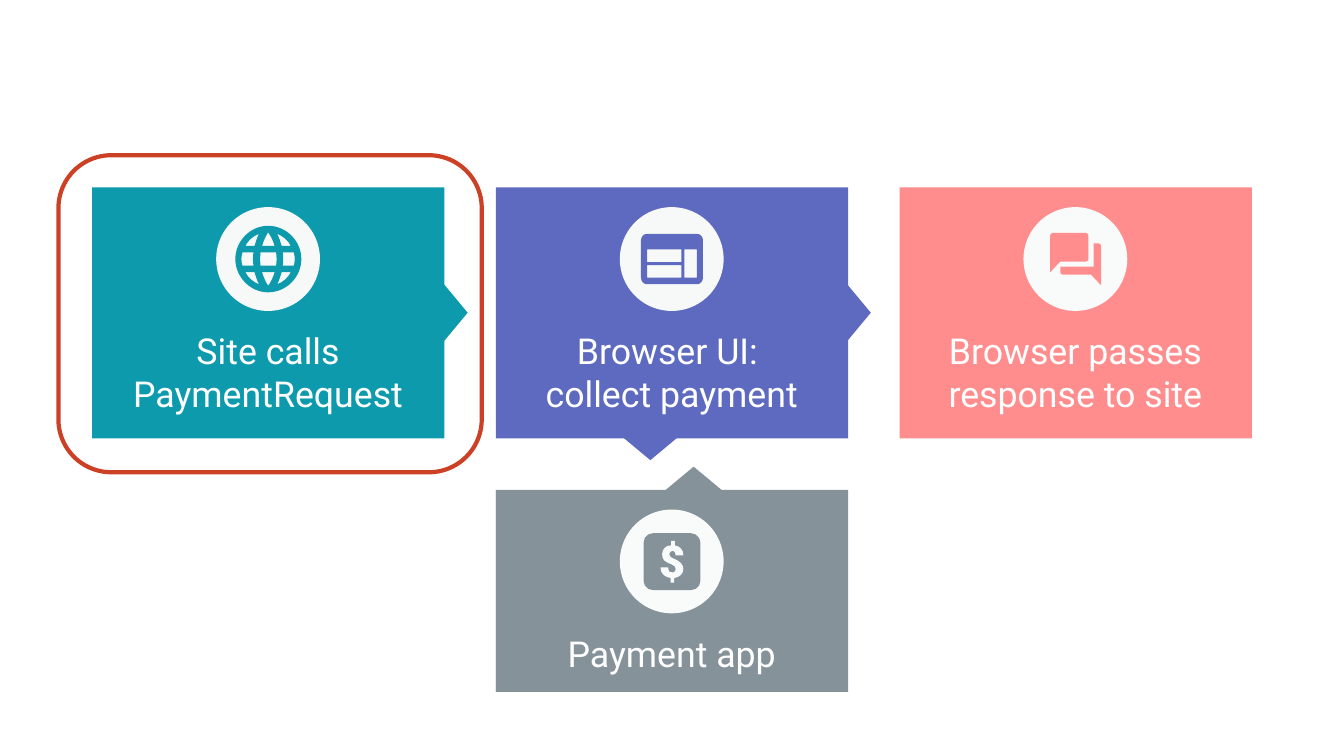
"""Build the payment request flow slide."""
from dataclasses import dataclass
from typing import Any, NamedTuple

from lxml import etree
from pptx import Presentation
from pptx.dml.color import RGBColor
from pptx.enum.shapes import MSO_SHAPE
from pptx.enum.text import MSO_ANCHOR, PP_ALIGN
from pptx.oxml.ns import qn
from pptx.util import Pt

PX = 9144
RECTANGLE = MSO_SHAPE.RECTANGLE
ROUNDED = MSO_SHAPE.ROUNDED_RECTANGLE
OVAL = MSO_SHAPE.OVAL
TRIANGLE = MSO_SHAPE.ISOSCELES_TRIANGLE
TOP = MSO_ANCHOR.TOP
CENTER = PP_ALIGN.CENTER

LEFT, PITCH = 183, 801
PANEL_WIDTH = 699
DISC_TOP, DISC_SIZE = 39, 206
LABEL_INDENT, LABEL_TOP, LABEL_WIDTH, INSET = 8, 271, 682, 10


@dataclass(frozen=True)
class Theme:
    """Colours and type sizes of the slide."""
    teal: str = "0E9AAD"
    indigo: str = "5D6ABF"
    slate: str = "445863"
    coral: str = "FF5151"
    disc: str = "F7F9F8"
    white: str = "FFFFFF"
    highlight: str = "CC4125"
    font: str = "Roboto"
    label_size: int = 51
    highlight_width: int = 6
    veil_opacity: int = 35000


class Box(NamedTuple):
    """A rectangle in px."""
    left: int
    top: int
    width: int
    height: int


class Contour(NamedTuple):
    """A closed outline around the disc centre, repeated once for each flip."""
    outline: str
    flips: tuple[tuple[int, int], ...] = ((1, 1),)


@dataclass(frozen=True)
class Pointer:
    """A triangle that leads from one step to the next."""
    box: Box
    color: str
    rotation: int = 0


@dataclass(frozen=True)
class Panel:
    """A coloured step with an icon in a disc and a label."""
    column: int
    top: int
    height: int
    color: str
    lines: tuple[str, ...]
    label_height: int
    icon: tuple[tuple[Contour, ...], ...]
    icon_color: str
    tile: bool = False
    pointers: tuple[Pointer, ...] = ()


THEME = Theme()
UPRIGHT = (1, 1)
SIDES = (UPRIGHT, (-1, 1))
ENDS = (UPRIGHT, (1, -1))
CORNERS = (*SIDES, (1, -1), (-1, -1))

GLOBE = ((
    Contour("M 0 -66 C -35 -66 -65 -36 -65 0 C -65 36 -35 66 0 66 "
            "C 36 66 66 36 66 0 C 66 -36 36 -66 0 -66"),
    Contour("M 45 -26 L 27 -26 C 24 -35 22 -43 18 -50 C 29 -46 40 -37 45 -26", CORNERS),
    Contour("M 0 -53 C 6 -45 10 -36 13 -26 L -12 -26 C -9 -36 -5 -45 0 -53", ENDS),
    Contour("M 29 13 C 30 9 30 4 30 0 C 30 -4 30 -9 29 -13 L 51 -13 "
            "C 52 -9 53 -5 53 0 C 53 5 52 9 51 13", SIDES),
    Contour("M 16 13 L -15 13 C -15 9 -16 4 -16 0 C -16 -4 -15 -9 -15 -13 "
            "L 16 -13 C 16 -9 17 -4 17 0 C 17 4 16 9 16 13"),
),)
WINDOW = ((
    Contour("M 50 -50 L -49 -50 C -56 -50 -61 -44 -61 -37 L -61 37 C -61 44 -56 50 -49 50 "
            "L 50 50 C 57 50 62 44 62 37 L 62 -37 C 62 -44 57 -50 50 -50"),
    Contour("M 19 37 L -49 37 L -49 12 L 19 12"),
    Contour("M 19 6 L -49 6 L -49 -19 L 19 -19"),
    Contour("M 50 37 L 25 37 L 25 -19 L 50 -19"),
),)
CHAT = (
    (Contour("M 26 0 L 26 -47 C 26 -49 23 -52 21 -52 L -45 -52 C -48 -52 -50 -49 -50 -47 "
             "L -50 26 L -30 5 L 21 5 C 23 5 26 3 26 0"),),
    (Contour("M 46 -31 L 36 -31 L 36 15 L -30 15 L -30 26 C -30 28 -28 31 -25 31 "
             "L 31 31 L 51 52 L 51 -26 C 51 -28 49 -31 46 -31"),),
)
DOLLAR = ((
    Contour("M 8 15 C 8 13 7 11 6 10 C 5 9 3 8 0 6 C -7 3 -12 1 -15 -2 "
            "C -18 -5 -19 -9 -19 -14 C -19 -19 -18 -23 -14 -27 C -11 -30 -7 -32 -1 -32 "
            "L -1 -41 L 6 -41 L 6 -32 C 11 -31 15 -29 18 -26 C 22 -22 23 -18 23 -12 "
            "L 8 -12 C 8 -15 7 -17 6 -19 C 5 -20 3 -21 2 -21 C -1 -21 -2 -20 -3 -19 "
            "C -4 -18 -5 -16 -5 -14 C -5 -12 -4 -11 -3 -10 C -2 -8 0 -7 3 -6 "
            "C 10 -3 15 0 18 3 C 21 6 23 10 23 15 C 23 20 21 24 18 27 C 15 30 10 32 5 33 "
            "L 5 42 L -2 42 L -2 33 C -8 32 -12 30 -16 27 C -20 24 -22 19 -22 12 "
            "L -7 12 C -7 15 -6 18 -5 20 C -3 21 -1 22 2 22 C 4 22 5 21 6 20 C 7 19 8 17 8 15"),
),)

SIDE_POINTERS = (
    Pointer(Box(848, 597, 113, 47), THEME.teal, 90),
    Pointer(Box(848 + PITCH - 1, 597, 113, 47), THEME.indigo, 90),
)
APP_POINTERS = (
    Pointer(Box(1320, 926, 113, 47), THEME.slate),
    Pointer(Box(1234, 866, 113, 47), THEME.indigo, 180),
)
PANELS = (
    Panel(1, 972, 401, THEME.slate, ("Payment app",), 96, DOLLAR, THEME.disc, True, APP_POINTERS),
    Panel(1, 372, 498, THEME.indigo, ("Browser UI: ", "collect payment"), 169, WINDOW, THEME.indigo),
    Panel(0, 372, 498, THEME.teal, ("Site calls PaymentRequest",), 132, GLOBE, THEME.teal),
    Panel(2, 372, 498, THEME.coral, ("Browser passes response to site",), 132, CHAT, THEME.coral),
)
VEILS = (Box(984, 920, 794, 570), Box(1765, 348, 794, 570))
HIGHLIGHT = Box(116, 308, 840, 629)


def apply_format(target: Any, values: dict[str, Any]) -> None:
    """Set each named attribute on the target."""
    for name, value in values.items():
        setattr(target, name, value)


def paint(shape: Any, color: str) -> None:
    """Give a shape a flat fill without line or shadow."""
    shape.shadow.inherit = False
    shape.fill.solid()
    shape.fill.fore_color.rgb = RGBColor.from_string(color)
    shape.line.fill.background()


def add_block(parent: Any, kind: Any, box: Box, color: str) -> Any:
    """Draw a filled preset shape."""
    shape = parent.shapes.add_shape(kind, *(length * PX for length in box))
    paint(shape, color)
    return shape


def add_pointer(parent: Any, pointer: Pointer) -> None:
    """Draw a turned triangle."""
    add_block(parent, TRIANGLE, pointer.box, pointer.color).rotation = pointer.rotation


def read_nodes(outline: str) -> list[list[tuple[int, int]]]:
    """List the nodes of each command: one for a move or line, three for a curve."""
    commands = outline.replace("M", "|").replace("L", "|").replace("C", "|").split("|")[1:]
    numbers = [[int(word) for word in command.split()] for command in commands]
    return [list(zip(row[::2], row[1::2])) for row in numbers]


def bend(shape: Any, sizes: list[int]) -> None:
    """Join each run of three line nodes into one cubic curve."""
    route = shape._element.spPr.find(f".//{qn('a:path')}")
    segments = iter(route.findall(qn("a:lnTo")))
    for size in sizes:
        segment = next(segments)
        if size == 3:
            segment.tag = qn("a:cubicBezTo")
        for _ in range(size - 1):
            extra = next(segments)
            segment.append(extra[0])
            route.remove(extra)


def add_outline(parent: Any, contours: tuple[Contour, ...], x: int, y: int, color: str) -> None:
    """Draw one freeform whose inner contours are holes."""
    builder, sizes = None, []
    for contour in contours:
        commands = read_nodes(contour.outline)
        for across, down in contour.flips:
            start, *nodes = [((x + dx * across) * PX, (y + dy * down) * PX)
                             for command in commands for dx, dy in command]
            if builder is None:
                builder = parent.shapes.build_freeform(*start)
            else:
                builder.move_to(*start)
            builder.add_line_segments(nodes, close=True)
            sizes += [len(command) for command in commands[1:]]
    shape = builder.convert_to_shape()
    bend(shape, sizes)
    paint(shape, color)


def add_label(parent: Any, box: Box, lines: tuple[str, ...]) -> None:
    """Write centred white lines in a text box."""
    frame = parent.shapes.add_textbox(*(length * PX for length in box)).text_frame
    margins = {f"margin_{side}": INSET * PX for side in ("left", "top", "right", "bottom")}
    apply_format(frame, {"word_wrap": True, "vertical_anchor": TOP, **margins})
    frame.text = "\n".join(lines)
    for para in frame.paragraphs:
        para.alignment = CENTER
        for span in para.runs:
            apply_format(span.font, {"name": THEME.font, "size": Pt(THEME.label_size)})
            span.font.color.rgb = RGBColor.from_string(THEME.white)


def add_panel(page: Any, panel: Panel) -> None:
    """Draw a step as a group of pointers, disc, icon and label."""
    group = page.shapes.add_group_shape()
    left = LEFT + panel.column * PITCH
    disc_left, disc_top = left + (PANEL_WIDTH - DISC_SIZE) // 2, panel.top + DISC_TOP
    x, y = disc_left + DISC_SIZE // 2, disc_top + DISC_SIZE // 2
    for pointer in panel.pointers:
        add_pointer(group, pointer)
    add_block(group, RECTANGLE, Box(left, panel.top, PANEL_WIDTH, panel.height), panel.color)
    add_block(group, OVAL, Box(disc_left, disc_top, DISC_SIZE, DISC_SIZE), THEME.disc)
    if panel.tile:
        add_block(group, ROUNDED, Box(x - 56, y - 56, 113, 113), panel.color)
    add_label(group, Box(left + LABEL_INDENT, panel.top + LABEL_TOP, LABEL_WIDTH,
                         panel.label_height), panel.lines)
    for contours in panel.icon:
        add_outline(group, contours, x, y, panel.icon_color)


def add_veil(page: Any, box: Box) -> None:
    """Fade a later step with translucent white."""
    veil = add_block(page, RECTANGLE, box, THEME.white)
    color = veil._element.spPr.find(f"{qn('a:solidFill')}/{qn('a:srgbClr')}")
    etree.SubElement(color, qn("a:alpha"), val=str(THEME.veil_opacity))


def add_highlight(page: Any, box: Box) -> None:
    """Ring the current step."""
    ring = add_block(page, ROUNDED, box, THEME.white)
    ring.fill.background()
    ring.line.color.rgb = RGBColor.from_string(THEME.highlight)
    ring.line.width = Pt(THEME.highlight_width)


def main() -> None:
    """Build and save the deck."""
    deck = Presentation()
    apply_format(deck, {"slide_width": 2667 * PX, "slide_height": 1500 * PX})
    page = deck.slides.add_slide(deck.slide_layouts[6])
    for pointer in SIDE_POINTERS:
        add_pointer(page, pointer)
    for panel in PANELS:
        add_panel(page, panel)
    for veil in VEILS:
        add_veil(page, veil)
    add_highlight(page, HIGHLIGHT)
    deck.save("out.pptx")


if __name__ == "__main__":
    main()
